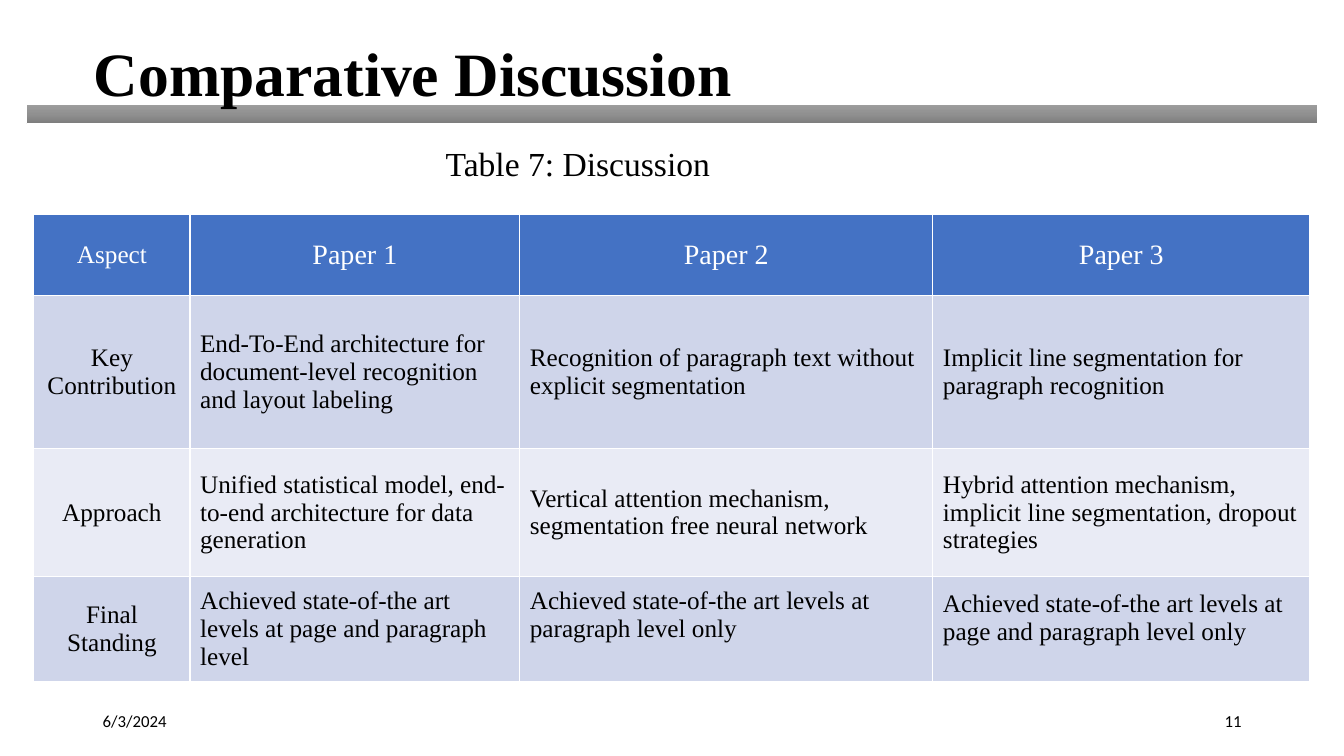
from copy import deepcopy

from lxml import etree
from pptx import Presentation
from pptx.dml.color import RGBColor
from pptx.enum.shapes import MSO_SHAPE
from pptx.enum.text import MSO_ANCHOR, MSO_AUTO_SIZE, PP_ALIGN
from pptx.oxml.ns import qn
from pptx.util import Cm, Pt

LEFT, CENTER, RIGHT = PP_ALIGN.LEFT, PP_ALIGN.CENTER, PP_ALIGN.RIGHT
TOP, MIDDLE = MSO_ANCHOR.TOP, MSO_ANCHOR.MIDDLE
RECTANGLE = MSO_SHAPE.RECTANGLE
NO_AUTOFIT = MSO_AUTO_SIZE.NONE
TITLE_ONLY = 5

SERIF, SANS = "Times New Roman", "Calibri"
COLORS = {
    "text": "000000",
    "white": "FFFFFF",
    "header": "4472C4",
    "band_dark": "CFD5EA",
    "band_light": "E9EBF5",
    "bar_top": "9D9D9D",
    "bar_middle": "909090",
    "bar_bottom": "7C7C7C",
}

ROWS = [
    ["Aspect", "Paper 1", "Paper 2", "Paper 3"],
    ["Key Contribution",
     "End-To-End architecture for document-level recognition and layout labeling",
     "Recognition of paragraph text without explicit segmentation",
     "Implicit line segmentation for paragraph recognition"],
    ["Approach",
     "Unified statistical model, end-to-end architecture for data generation",
     "Vertical attention mechanism, segmentation free neural network",
     "Hybrid attention mechanism, implicit line segmentation, dropout strategies"],
    ["Final Standing",
     "Achieved state-of-the art levels at page and paragraph level",
     "Achieved state-of-the art levels at paragraph level only",
     "Achieved state-of-the art levels at page and paragraph level only"],
]
COLUMN_WIDTHS = [3.94, 8.31, 10.41, 9.5]
ROW_HEIGHTS = [2.03, 3.86, 3.23, 2.64]
# Deeper bottom margins lift the text in two cells of the last row
BOTTOM_MARGINS = {(3, 2): 0.83, (3, 3): 0.68}


def color(name):
    return RGBColor.from_string(COLORS[name])


def write(text_frame, text, size, font=SERIF, color_name="text", align=LEFT, bold=False):
    text_frame.text = text
    paragraph = text_frame.paragraphs[0]
    paragraph.alignment = align
    run_font = paragraph.runs[0].font
    run_font.name, run_font.size, run_font.bold = font, Pt(size), bold
    run_font.color.rgb = color(color_name)
    return paragraph


def add_label(slide, box, text, size, font=SERIF, align=LEFT, anchor=TOP):
    text_frame = slide.shapes.add_textbox(*map(Cm, box)).text_frame
    text_frame.word_wrap = True
    text_frame.vertical_anchor = anchor
    write(text_frame, text, size, font, align=align)


def add_heading(slide, left, top, width):
    """Title standing on a gradient bar."""
    title = slide.shapes.title
    title.left, title.top = Cm(left + 1.45), Cm(top)
    title.width, title.height = Cm(17.75), Cm(2.13)
    title.text_frame.auto_size = NO_AUTOFIT
    title.text_frame.vertical_anchor = MIDDLE
    write(title.text_frame, "Comparative Discussion", 44, bold=True).line_spacing = 0.9

    bar = slide.shapes.add_shape(RECTANGLE, Cm(left), Cm(top + 1.77), Cm(width), Cm(0.48))
    # The bar lies behind the title, so the descenders stay whole
    title._element.addprevious(bar._element)
    bar.shadow.inherit = False
    bar.line.color.rgb = color("white")
    bar.line.width = Pt(0.5)
    bar.fill.gradient()
    bar.fill.gradient_angle = 270
    # The middle stop is added to the two default ones
    stop_list = bar._element.spPr.find(qn("a:gradFill")).find(qn("a:gsLst"))
    stop_list.insert(1, deepcopy(stop_list[0]))
    names = ["bar_top", "bar_middle", "bar_bottom"]
    for index, (stop, name) in enumerate(zip(bar.fill.gradient_stops, names)):
        stop.position = index / 2
        stop.color.rgb = color(name)


def set_borders(cell):
    properties = cell._tc.get_or_add_tcPr()
    for index, side in enumerate(["lnL", "lnR", "lnT", "lnB"]):
        line = etree.Element(qn(f"a:{side}"), w=str(Pt(1)))
        fill = etree.SubElement(line, qn("a:solidFill"))
        etree.SubElement(fill, qn("a:srgbClr"), val=COLORS["white"])
        properties.insert(index, line)


def add_comparison_table(slide, left, top):
    frame = slide.shapes.add_table(
        len(ROWS), len(COLUMN_WIDTHS), Cm(left), Cm(top),
        Cm(sum(COLUMN_WIDTHS)), Cm(sum(ROW_HEIGHTS)))
    table = frame.table
    for column, width in zip(table.columns, COLUMN_WIDTHS):
        column.width = Cm(width)
    for row, height in zip(table.rows, ROW_HEIGHTS):
        row.height = Cm(height)

    for row_index, texts in enumerate(ROWS):
        is_header = row_index == 0
        band = "band_dark" if row_index % 2 else "band_light"
        for column_index, text in enumerate(texts):
            cell = table.cell(row_index, column_index)
            cell.fill.solid()
            cell.fill.fore_color.rgb = color("header" if is_header else band)
            cell.vertical_anchor = MIDDLE
            write(cell.text_frame, text,
                  size=20 if is_header and column_index else 18,
                  color_name="white" if is_header else "text",
                  align=CENTER if is_header or column_index == 0 else LEFT)
            if (row_index, column_index) in BOTTOM_MARGINS:
                cell.margin_bottom = Cm(BOTTOM_MARGINS[row_index, column_index])
            set_borders(cell)


def add_footer(slide, left, top, width):
    """Date at the left end, slide number at the right end."""
    label_width, height = 7.62, 1.02
    add_label(slide, (left, top, label_width, height), "6/3/2024", 12, SANS, anchor=MIDDLE)
    add_label(slide, (left + width - label_width, top, label_width, height),
              "11", 12, SANS, RIGHT, MIDDLE)


def main():
    presentation = Presentation()
    presentation.slide_width, presentation.slide_height = Cm(33.87), Cm(19.05)
    slide = presentation.slides.add_slide(presentation.slide_layouts[TITLE_ONLY])
    add_heading(slide, 0.66, 0.87, 32.54)
    add_comparison_table(slide, 0.85, 5.41)
    add_label(slide, (10.98, 3.48, 12.32, 1.27), "Table 7: Discussion", 24)
    add_footer(slide, 2.34, 17.65, 29.2)
    presentation.save("out.pptx")


if __name__ == "__main__":
    main()
